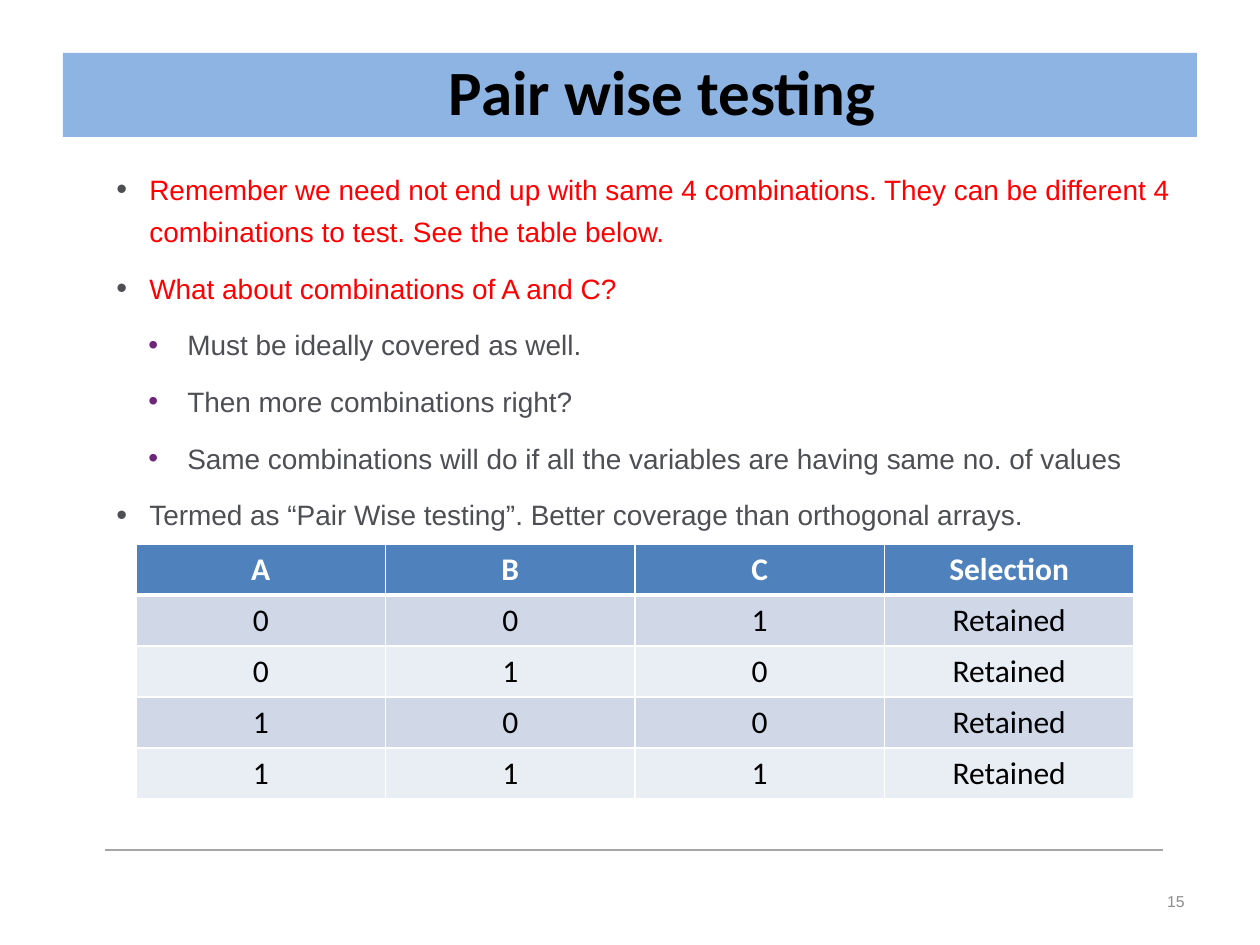
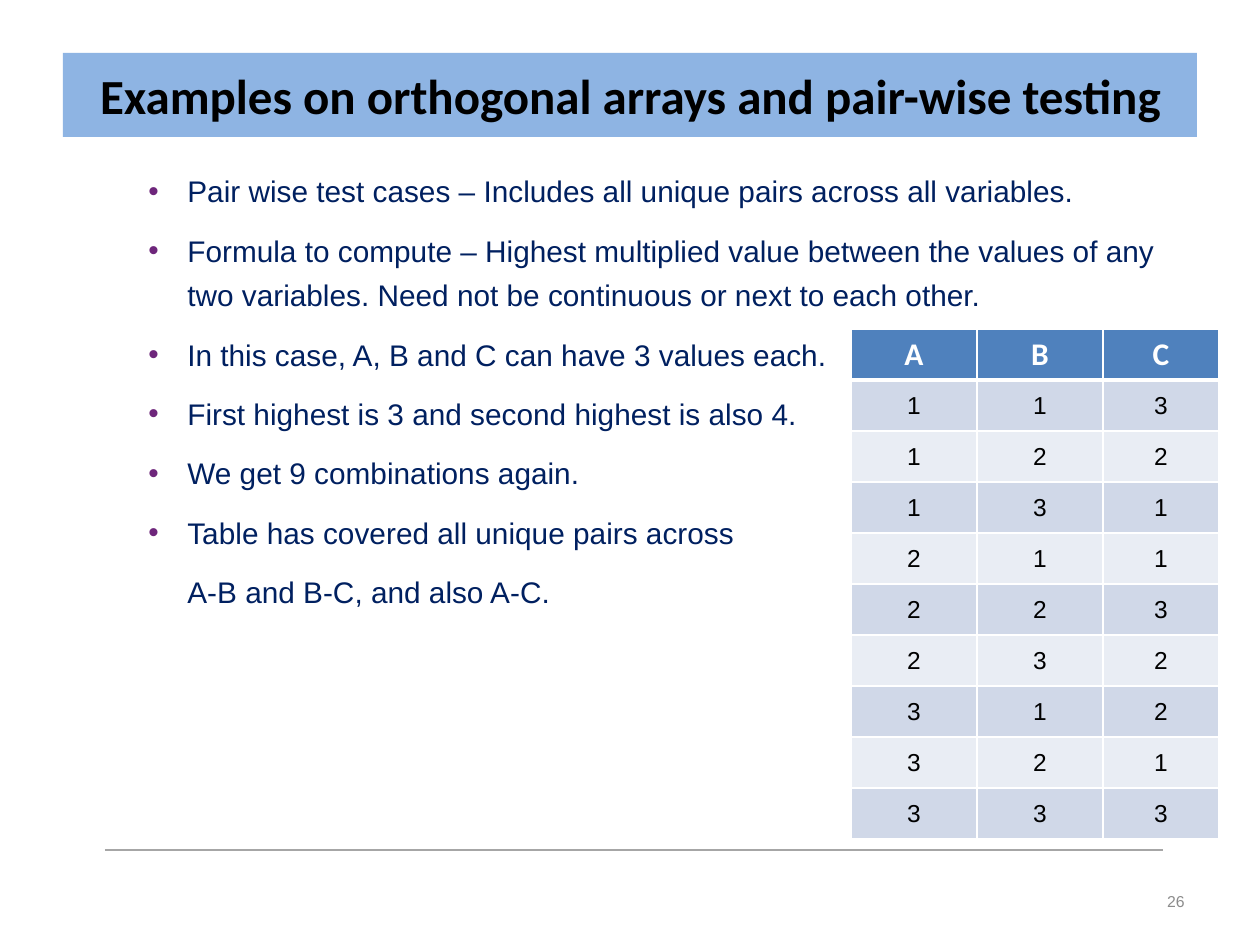
from lxml import etree
from pptx import Presentation
from pptx.dml.color import RGBColor
from pptx.enum.shapes import MSO_CONNECTOR, MSO_SHAPE
from pptx.enum.text import MSO_ANCHOR, PP_ALIGN
from pptx.oxml.ns import qn
from pptx.util import Emu, Pt

RECTANGLE = MSO_SHAPE.RECTANGLE
STRAIGHT = MSO_CONNECTOR.STRAIGHT
TOP, MIDDLE = MSO_ANCHOR.TOP, MSO_ANCHOR.MIDDLE
CENTER, RIGHT = PP_ALIGN.CENTER, PP_ALIGN.RIGHT

PX_PER_INCH = 126
WHITE, BLACK = "FFFFFF", "000000"
BAND_BLUE, HEADER_BLUE = "8EB4E3", "4F81BD"
ROW_TINTS = ("D0D8E8", "E9EDF4")
RED, GREY, NAVY, PURPLE = "FF0000", "4D4F53", "002060", "6E267B"
RULE_GREY, NUMBER_GREY = "A6A6A6", "8C8C8C"

ROW_HEIGHT = 51
HEADER_FONT = {"name": "Calibri", "size": Pt(18), "bold": True}

# left margin px, first-line indent px, bullet colour, bullet size in percent
MAIN = (64, -33, GREY, 110)
SUB = (102, -39, PURPLE, 100)
CONTINUED = (102, 0, None, None)


def px(length):
    return Emu(round(length * 914400 / PX_PER_INCH))


def rgb(hex_color):
    return RGBColor.from_string(hex_color)


def set_font(font, color, values):
    for name, value in values.items():
        setattr(font, name, value)
    font.color.rgb = rgb(color)


def write(paragraph, text, color, values, align=None):
    span = paragraph.add_run()
    span.text = text
    set_font(span.font, color, values)
    paragraph.alignment = align


def add_box(page, left, top, width, height):
    box = page.shapes.add_textbox(px(left), px(top), px(width), px(height))
    box.text_frame.word_wrap = True
    return box.text_frame


def add_title(page, text, size, shift=0):
    """Draw the title band; shift moves the centred text right by that many px."""
    band = page.shapes.add_shape(RECTANGLE, px(63), px(53), px(1134), px(84))
    band.shadow.inherit = False
    band.fill.solid()
    band.fill.fore_color.rgb = rgb(BAND_BLUE)
    band.line.fill.background()
    frame = band.text_frame
    frame.word_wrap = True
    frame.vertical_anchor = MIDDLE
    frame.margin_left = px(13 + 2 * shift)
    para = frame.paragraphs[0]
    para.line_spacing = 0.9 if shift else 1.0
    write(para, text, BLACK, {"name": "Calibri", "size": Pt(size), "bold": True}, CENTER)


def add_footer(page, number):
    rule = page.shapes.add_connector(STRAIGHT, px(105), px(850), px(1163), px(850))
    rule.line.color.rgb = rgb(RULE_GREY)
    rule.line.width = Pt(0.75)
    etree.SubElement(rule.element.spPr, qn("a:effectLst"))
    frame = add_box(page, 903, 876, 294, 50)
    frame.vertical_anchor = MIDDLE
    write(frame.paragraphs[0], str(number), NUMBER_GREY, {"name": "Arial", "size": Pt(9)}, RIGHT)


def set_bullet(para, level):
    left, indent, color, percent = level
    properties = para._p.get_or_add_pPr()
    properties.set("marL", str(px(left)))
    properties.set("indent", str(px(indent)))
    if color is None:
        etree.SubElement(properties, qn("a:buNone"))
        return
    bullet_color = etree.SubElement(properties, qn("a:buClr"))
    etree.SubElement(bullet_color, qn("a:srgbClr"), val=color)
    etree.SubElement(properties, qn("a:buSzPct"), val=str(percent * 1000))
    etree.SubElement(properties, qn("a:buFont"), typeface="Arial")
    etree.SubElement(properties, qn("a:buChar"), char="•")


def add_body(page, height, size, items):
    """Write (level, colour, text) items as the bullet list under the title."""
    frame = add_box(page, 73, 158, 1134, height)
    for index, (level, color, text) in enumerate(items):
        para = frame.add_paragraph() if index else frame.paragraphs[0]
        set_bullet(para, level)
        para.line_spacing = 1.25
        para.space_before = Pt(8.4 if index else 0)
        write(para, text, color, {"name": "Arial", "size": Pt(size)})


def set_borders(cell, top, bottom):
    """Add white cell edges; top and bottom are widths in points."""
    properties = cell._tc.get_or_add_tcPr()
    for tag, width in (("lnL", 1), ("lnR", 1), ("lnT", top), ("lnB", bottom)):
        edge = etree.SubElement(properties, qn(f"a:{tag}"), w=str(Pt(width)))
        fill = etree.SubElement(edge, qn("a:solidFill"))
        etree.SubElement(fill, qn("a:srgbClr"), val=WHITE)


def add_grid(page, left, top, widths, rows, body_font, body_cell):
    """Draw a table whose first row is the header; body_cell formats other cells."""
    table = page.shapes.add_table(
        len(rows), len(widths), px(left), px(top), px(sum(widths)), px(ROW_HEIGHT * len(rows))
    ).table
    for column, width in zip(table.columns, widths):
        column.width = px(width)
    for r, values in enumerate(rows):
        table.rows[r].height = px(ROW_HEIGHT)
        is_header = r == 0
        for c, value in enumerate(values):
            cell = table.cell(r, c)
            set_borders(cell, 3 if r == 1 else 1, 3 if is_header else 1)
            cell.fill.solid()
            cell.fill.fore_color.rgb = rgb(HEADER_BLUE if is_header else ROW_TINTS[(r - 1) % 2])
            for name, setting in ({} if is_header else body_cell).items():
                setattr(cell, name, setting)
            write(cell.text_frame.paragraphs[0], value, WHITE if is_header else BLACK,
                  HEADER_FONT if is_header else body_font, CENTER)


def add_pairwise_page(page):
    add_footer(page, 15)
    add_body(page, 640, 16, [
        (MAIN, RED, "Remember we need not end up with same 4 combinations. "
                    "They can be different 4 combinations to test. See the table below."),
        (MAIN, RED, "What about combinations of A and C?"),
        (SUB, GREY, "Must be ideally covered as well."),
        (SUB, GREY, "Then more combinations right?"),
        (SUB, GREY, "Same combinations will do if all the variables are having same no. of values"),
        (MAIN, GREY, "Termed as “Pair Wise testing”. Better coverage than orthogonal arrays."),
    ])
    add_title(page, "Pair wise testing", 36, shift=32)
    rows = [["A", "B", "C", "Selection"]]
    rows += [[*combination, "Retained"] for combination in ("001", "010", "100", "111")]
    add_grid(page, 136, 544, [249.5] * 4, rows,
             {"name": "Calibri", "size": Pt(18), "bold": False}, {"vertical_anchor": TOP})


def add_examples_page(page):
    add_footer(page, 26)
    items = [(SUB, NAVY, text) for text in (
        "Pair wise test cases – Includes all unique pairs across all variables.",
        "Formula to compute – Highest multiplied value between the values of any "
        "two variables. Need not be continuous or next to each other.",
        "In this case, A, B and C can have 3 values each.",
        "First highest is 3 and second highest is also 4.",
        "We get 9 combinations again.",
        "Table has covered all unique pairs across",
    )]
    items.append((CONTINUED, NAVY, "A-B and B-C, and also A-C."))
    add_body(page, 693, 17, items)
    add_title(page, "Examples on orthogonal arrays and pair-wise testing", 28)
    rows = ["ABC", "113", "122", "131", "211", "223", "232", "312", "321", "333"]
    tight = {"vertical_anchor": MIDDLE, "margin_left": px(1), "margin_right": px(1),
             "margin_top": px(1), "margin_bottom": px(0)}
    add_grid(page, 851, 329, [126, 126, 116], rows,
             {"name": "Arial", "size": Pt(14), "bold": False}, tight)


def main():
    deck = Presentation()
    deck.slide_width, deck.slide_height = px(1260), px(945)
    blank = deck.slide_layouts[6]
    for fill_page in (add_pairwise_page, add_examples_page):
        fill_page(deck.slides.add_slide(blank))
    deck.save("out.pptx")


if __name__ == "__main__":
    main()
